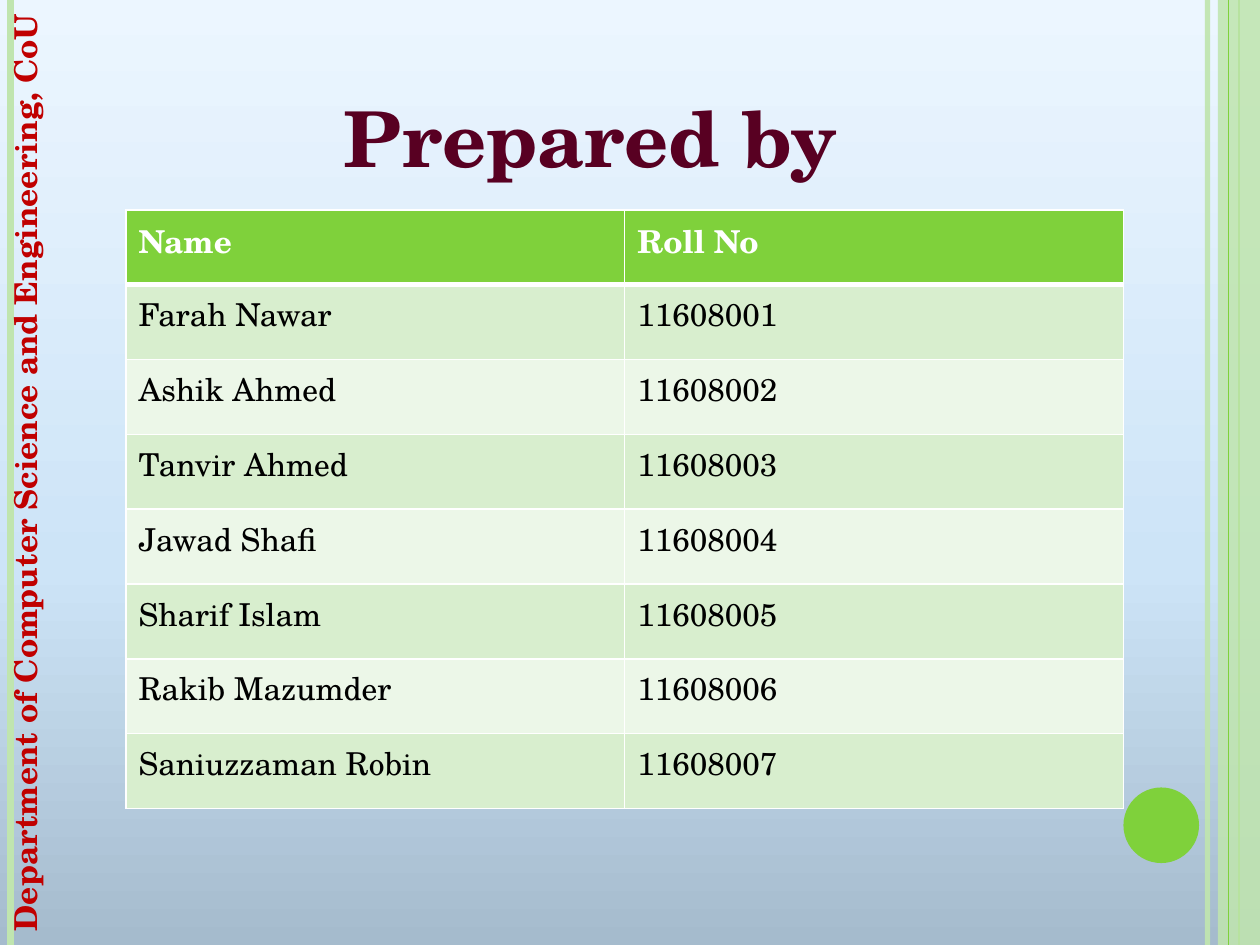
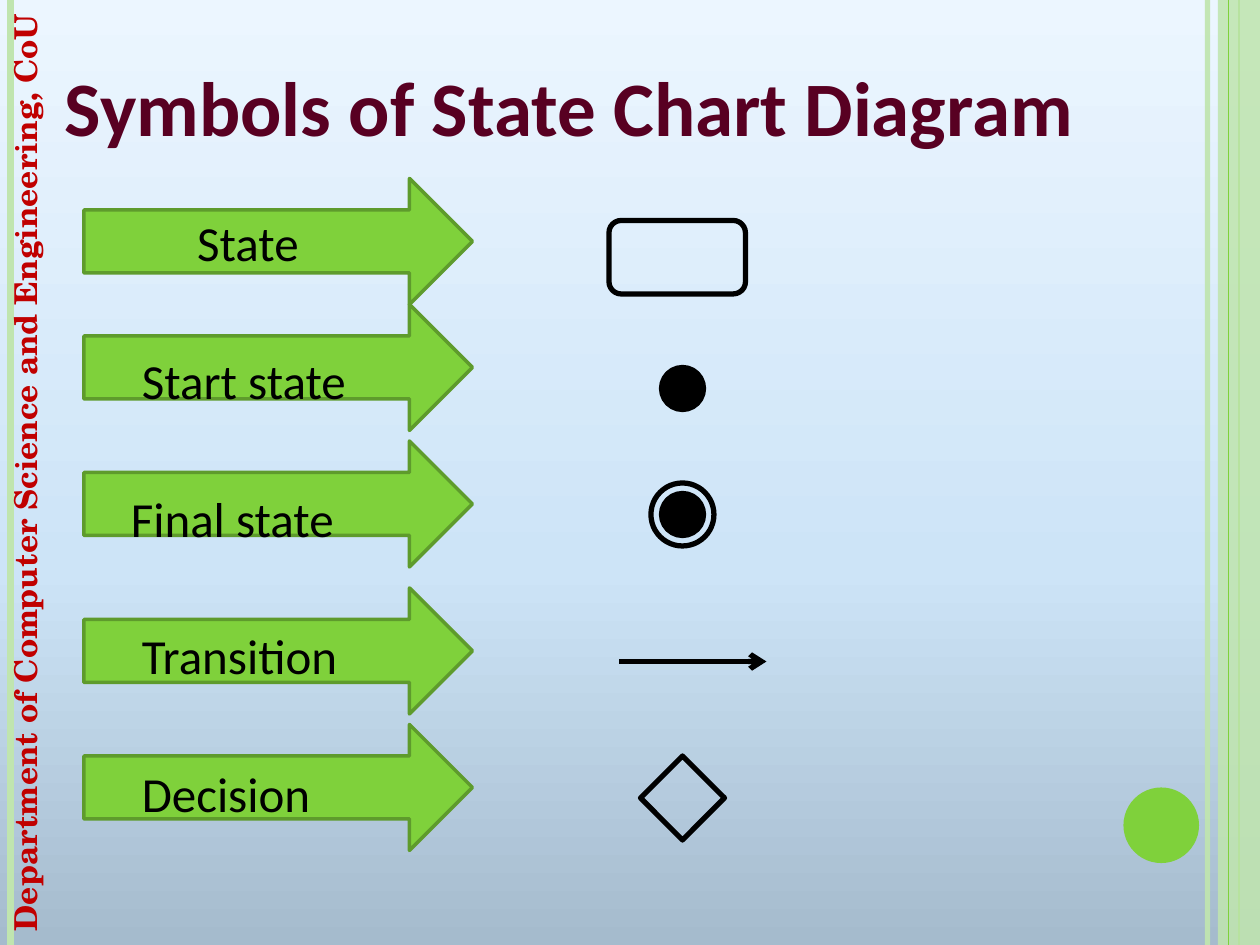
from copy import deepcopy

from lxml.etree import SubElement
from pptx import Presentation
from pptx.dml.color import RGBColor
from pptx.enum.shapes import MSO_CONNECTOR as Connector, MSO_SHAPE as Shape
from pptx.enum.text import PP_ALIGN as Align
from pptx.oxml.ns import qn
from pptx.util import Pt

COLORS = {
    name: RGBColor.from_string(value)
    for name, value in {
        "green": "7FD13B",
        "dark green": "5E9B2C",
        "pale green": "C0E5AF",
        "band": "D8EECE",
        "light band": "ECF7E8",
        "plum": "580022",
        "red": "C00000",
        "black": "000000",
        "white": "FFFFFF",
        "sky bottom": "A5BBCD",
        "sky middle": "CDE4F7",
        "sky top": "ECF6FF",
    }.items()
}
SERIF = "TeX Gyre Schola"
SANS = "Calibri"
WIDTH, HEIGHT = 720, 540


def add_shape(slide, kind, box, fill=None, line=None, line_width=3):
    shape = slide.shapes.add_shape(kind, *map(Pt, box))
    shape.shadow.inherit = False
    if fill:
        shape.fill.solid()
        shape.fill.fore_color.rgb = COLORS[fill]
    else:
        shape.fill.background()
    if line:
        shape.line.color.rgb = COLORS[line]
        shape.line.width = Pt(line_width)
    else:
        shape.line.fill.background()
    return shape


def add_line(slide, start, end, color, width):
    line = slide.shapes.add_connector(Connector.STRAIGHT, *map(Pt, start + end))
    line.line.color.rgb = COLORS[color]
    line.line.width = Pt(width)
    SubElement(line.element.spPr, qn("a:effectLst"))
    return line


presentation = Presentation()
presentation.slide_width = Pt(WIDTH)
presentation.slide_height = Pt(HEIGHT)

master = presentation.slide_master
background = master.background.fill
background.gradient()
background.gradient_angle = 90
stop_list = master.element.find(".//" + qn("a:gsLst"))
stop_list.insert(1, deepcopy(stop_list[0]))
sky = [(0, "sky bottom"), (0.4, "sky middle"), (1, "sky top")]
for stop, (position, color) in zip(background.gradient_stops, sky):
    stop.position = position
    stop.color.rgb = COLORS[color]

titles = [
    ("Prepared by", SERIF, (30, 48.2, 552, 60.5), 166.4),
    ("Symbols of State Chart Diagram", SANS, (30, 30.2, WIDTH, 104.4), 7.2),
]
department = "Department of Computer Science and Engineering, CoU"
slides = []
for title, title_font, title_box, title_inset in titles:
    slide = presentation.slides.add_slide(presentation.slide_layouts[6])
    slides.append(slide)

    edge = add_line(slide, (690, 0), (690, HEIGHT), "pale green", 3)
    add_line(slide, (6, 0), (6, HEIGHT), "pale green", 4.5)
    add_line(slide, (708, 0), (708, HEIGHT), "green", 1.5)
    band = add_shape(slide, Shape.RECTANGLE, (696, 0, 24, HEIGHT), "pale green")
    add_line(slide, (702, 0), (702, HEIGHT), "green", 0.75)
    add_shape(slide, Shape.OVAL, (642, 450, 43.2, 43.2), "green")
    for shape, opacity in [(edge, 93), (band, 87)]:
        color = shape.element.spPr.find(".//" + qn("a:srgbClr"))
        SubElement(color, qn("a:alpha"), val=str(opacity * 1000))

    for text, font, size, color, box, inset, rotation, alignment in [
        (department, SERIF, 18, "red", (-255.6, 255.6, HEIGHT, 28.8), 7.2, 270, Align.CENTER),
        (title, title_font, 44, "plum", title_box, title_inset, 0, Align.LEFT),
    ]:
        text_box = slide.shapes.add_textbox(*map(Pt, box))
        text_box.rotation = rotation
        frame = text_box.text_frame
        frame.word_wrap = True
        frame.margin_left = Pt(inset)
        paragraph = frame.paragraphs[0]
        paragraph.text = text
        paragraph.alignment = alignment
        paragraph.font.name = font
        paragraph.font.size = Pt(size)
        paragraph.font.bold = True
        paragraph.font.color.rgb = COLORS[color]

members_slide, symbols_slide = slides

names = [
    "Farah Nawar",
    "Ashik Ahmed",
    "Tanvir Ahmed",
    "Jawad Shafi",
    "Sharif Islam",
    "Rakib Mazumder",
    "Saniuzzaman Robin",
]
rows = [("Name", "Roll No")]
rows += [(name, str(11608000 + number)) for number, name in enumerate(names, 1)]
table = members_slide.shapes.add_table(
    len(rows), 2, Pt(72), Pt(120), Pt(570), Pt(342)
).table
table.horz_banding = False
for row_index, row in enumerate(rows):
    is_header = row_index == 0
    fill = "green" if is_header else "band" if row_index % 2 else "light band"
    for column_index, text in enumerate(row):
        cell = table.cell(row_index, column_index)
        properties = cell._tc.get_or_add_tcPr()
        for side in "LRTB":
            thick = (row_index, side) in [(0, "B"), (1, "T")]
            border = SubElement(
                properties, qn("a:ln" + side), w=str(Pt(3 if thick else 1))
            )
            border_fill = SubElement(border, qn("a:solidFill"))
            SubElement(border_fill, qn("a:srgbClr"), val=str(COLORS["white"]))
        cell.fill.solid()
        cell.fill.fore_color.rgb = COLORS[fill]
        paragraph = cell.text_frame.paragraphs[0]
        paragraph.text = text
        paragraph.font.name = SERIF
        paragraph.font.size = Pt(18)
        paragraph.font.bold = is_header
        paragraph.font.color.rgb = COLORS["white" if is_header else "black"]

for top in (102, 174, 252, 336, 414):
    add_shape(
        symbols_slide, Shape.RIGHT_ARROW, (48, top, 222, 72), "green", "dark green", 2
    )

labels = [
    ("State", 69.6),
    ("Start state", 38),
    ("Final state", 31.7),
    ("Transition", 38),
    ("Decision", 38),
]
frame = symbols_slide.shapes.add_textbox(Pt(36), Pt(118), Pt(672), Pt(393)).text_frame
frame.word_wrap = True
for index, (label, indent) in enumerate(labels):
    paragraph = frame.add_paragraph() if index else frame.paragraphs[0]
    paragraph.text = label
    paragraph.space_after = Pt(45.1)
    paragraph.font.name = SANS
    paragraph.font.size = Pt(28)
    paragraph.font.color.rgb = COLORS["black"]
    paragraph._p.get_or_add_pPr().set("marL", str(Pt(indent)))

for kind, box, fill in [
    (Shape.ROUNDED_RECTANGLE, (348, 126, 78, 42), None),
    (Shape.OVAL, (378, 210, 24, 24), "black"),
    (Shape.OVAL, (378, 282, 24, 24), "black"),
    (Shape.OVAL, (372, 276, 36, 36), None),
    (Shape.DIAMOND, (366, 432, 48, 48), None),
]:
    add_shape(symbols_slide, kind, box, fill, "black")
transition = add_line(symbols_slide, (354, 378), (438, 378), "black", 3)
SubElement(transition.line._get_or_add_ln(), qn("a:tailEnd"), type="arrow")

presentation.save("out.pptx")
